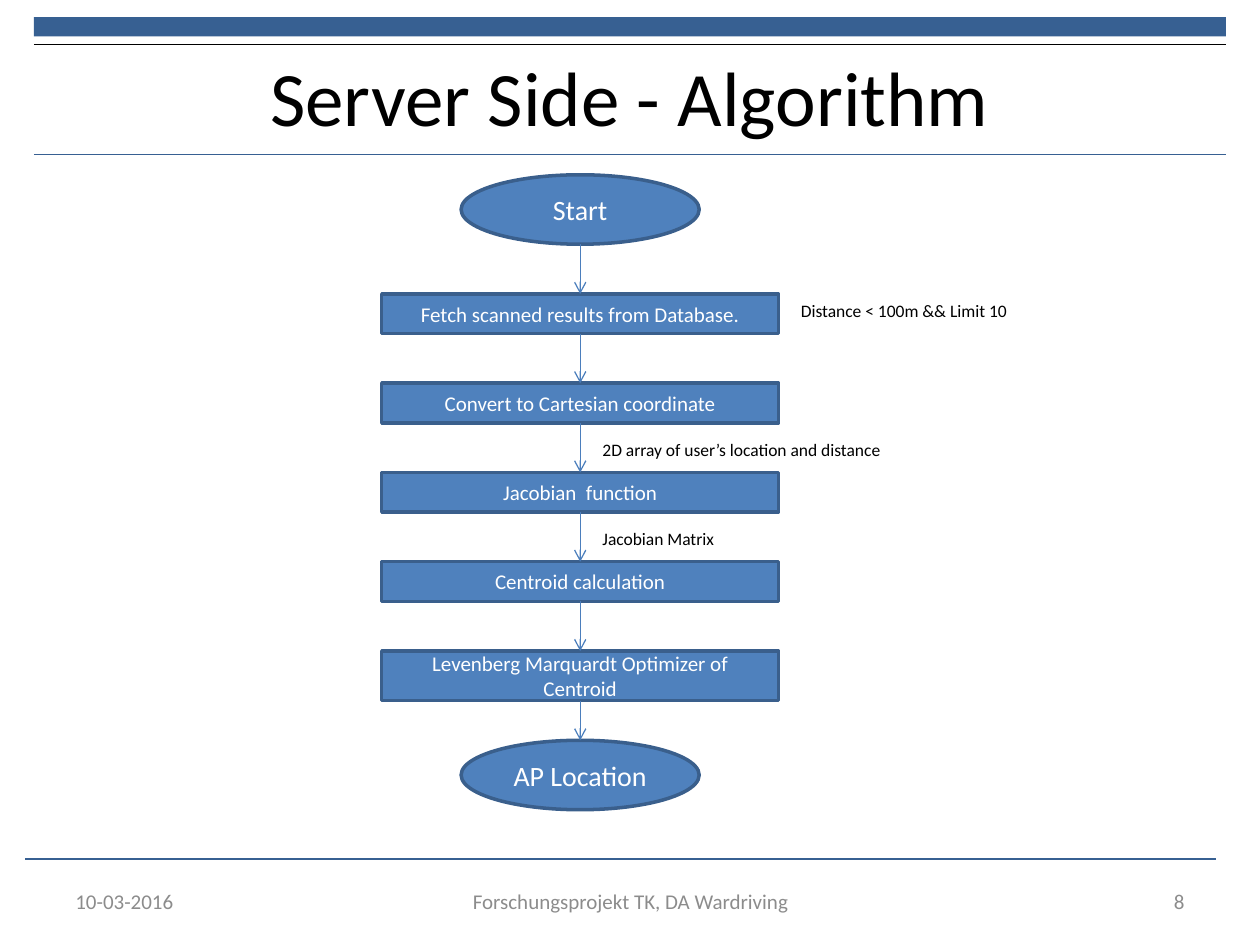
import itertools
import pptx
import pptx.util
import pptx.dml.color
import pptx.enum.shapes
import pptx.enum.text
import pptx.oxml.ns
import lxml.etree

SHAPE = pptx.enum.shapes.MSO_SHAPE
ALIGN = pptx.enum.text.PP_ALIGN
MIDDLE = pptx.enum.text.MSO_ANCHOR.MIDDLE
TOP = pptx.enum.text.MSO_ANCHOR.TOP
CELL = pptx.util.Mm(2)

STEPS = [
    ("Start", SHAPE.OVAL, 0, 7),
    ("Fetch scanned results from Database.", SHAPE.RECTANGLE, 12, 4),
    ("Convert to Cartesian coordinate", SHAPE.RECTANGLE, 21, 4),
    ("Jacobian  function", SHAPE.RECTANGLE, 30, 4),
    ("Centroid calculation", SHAPE.RECTANGLE, 39, 4),
    ("Levenberg Marquardt Optimizer of Centroid", SHAPE.RECTANGLE, 48, 5),
    ("AP Location", SHAPE.OVAL, 57, 7),
]
REMARKS = [
    ("Distance < 100m && Limit 10", 41, 12, 35),
    ("2D array of user\u2019s location and distance", 21, 26, 38),
    ("Jacobian Matrix", 21, 35, 27),
]


def paint(target, color):
    rgb = pptx.dml.color.RGBColor.from_string(color)
    if hasattr(target, "solid"):
        target.solid()
        target.fore_color.rgb = rgb
    else:
        target.rgb = rgb


def write(frame, wording, size, color, align=ALIGN.LEFT, anchor=MIDDLE):
    frame.word_wrap = True
    frame.vertical_anchor = anchor
    paragraph = frame.paragraphs[0]
    paragraph.alignment = align
    run = paragraph.add_run()
    run.text = wording
    run.font.name = "Calibri"
    run.font.size = pptx.util.Pt(size)
    paint(run.font.color, color)


def label(slide, box, *text):
    caption = slide.shapes.add_textbox(*map(int, box))
    write(caption.text_frame, *text)


def rule(slide, start, end, color, weight, arrow=False):
    connector = slide.shapes.add_connector(
        pptx.enum.shapes.MSO_CONNECTOR.STRAIGHT, *map(int, start + end))
    paint(connector.line.color, color)
    connector.line.width = pptx.util.Pt(weight)
    if arrow:
        tip = lxml.etree.SubElement(
            connector.line._get_or_add_ln(), pptx.oxml.ns.qn("a:tailEnd"))
        tip.set("type", "arrow")
    lxml.etree.SubElement(
        connector._element.spPr, pptx.oxml.ns.qn("a:effectLst"))


def header(slide, left, top, width, height):
    band = slide.shapes.add_shape(
        SHAPE.RECTANGLE, *map(int, (left, top, width, 0.14 * height)))
    band.shadow.inherit = False
    paint(band.fill, "376092")
    band.line.fill.background()
    for share, color, weight in ((0.2, "000000", 0.75), (1, "376092", 0.6)):
        y = top + share * height
        rule(slide, (left, y), (left + width, y), color, weight)
    title = slide.shapes.title
    title.left, title.top = int(0.05 * wide), int(top)
    title.width, title.height = int(0.9 * wide), int(1.14 * height)
    write(title.text_frame, "Server Side - Algorithm", 44, "000000", ALIGN.CENTER)


def footer(slide, left, top, width, height):
    rule(slide, (left, top), (left + width, top), "376092", 0.6)
    entries = (
        ("10-03-2016", 0.05, 0.233, ALIGN.LEFT),
        ("Forschungsprojekt TK, DA Wardriving", 0.342, 0.317, ALIGN.CENTER),
        ("8", 0.717, 0.233, ALIGN.RIGHT),
    )
    for wording, start, share, align in entries:
        box = (start * wide, top + 0.25 * height, share * wide, 0.75 * height)
        label(slide, box, wording, 12, "8C8C8C", align)


def flowchart(slide, left, top, columns):
    middle = left + columns * CELL / 2
    for wording, outline, row, rows in STEPS:
        terminal = outline == SHAPE.OVAL
        span = (0.6 if terminal else 1) * columns * CELL
        step = slide.shapes.add_shape(outline, *map(
            int, (middle - span / 2, top + row * CELL, span, rows * CELL)))
        step.shadow.inherit = False
        paint(step.fill, "4F81BD")
        paint(step.line.color, "3A5F8C")
        step.line.width = pptx.util.Pt(2)
        write(step.text_frame, wording, 16 if terminal else 12, "FFFFFF", ALIGN.CENTER)
    for (_, _, row, rows), (_, _, next_row, _) in itertools.pairwise(STEPS):
        rule(slide, (middle, top + (row + rows) * CELL),
             (middle, top + next_row * CELL), "4B7EBC", 0.75, arrow=True)
    for wording, column, row, span in REMARKS:
        box = (left + column * CELL, top + row * CELL, span * CELL, 3.4 * CELL)
        label(slide, box, wording, 10, "000000", ALIGN.LEFT, TOP)


deck = pptx.Presentation()
deck.slide_width = pptx.util.Inches(10)
deck.slide_height = pptx.util.Inches(7.5)
wide, high = deck.slide_width, deck.slide_height
algorithm = deck.slides.add_slide(deck.slide_layouts[5])
header(algorithm, 0.027 * wide, 0.018 * high, 0.946 * wide, 0.146 * high)
footer(algorithm, 0.02 * wide, 0.909 * high, 0.945 * wide, 0.071 * high)
flowchart(algorithm, 0.303 * wide, 0.185 * high, 40)
deck.save("out.pptx")
